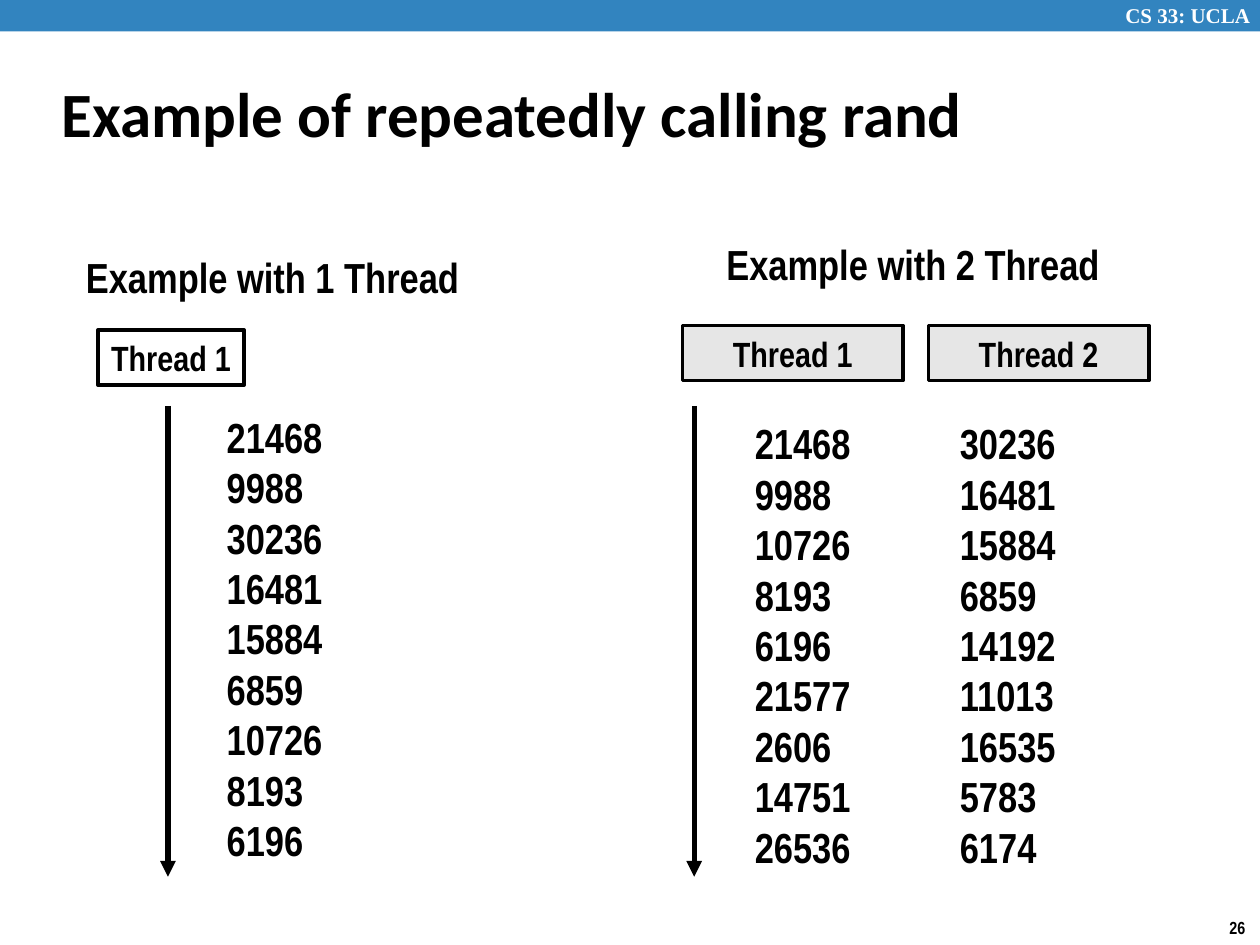
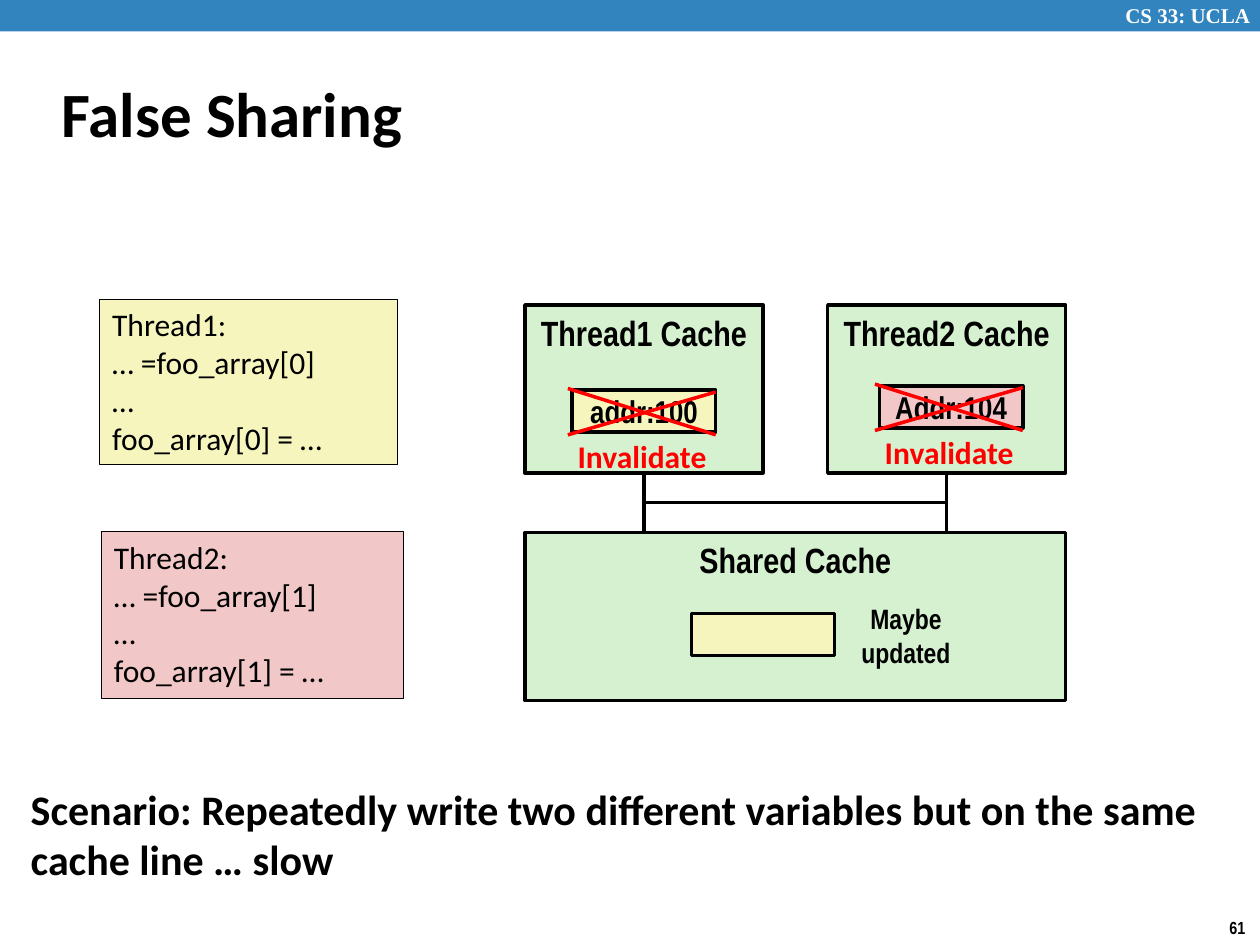
import pptx
import pptx.dml.color
import pptx.enum.shapes
import pptx.enum.text
import pptx.oxml.ns
import pptx.util
from lxml import etree

Pt = pptx.util.Pt
ALIGN = pptx.enum.text.PP_ALIGN
ANCHOR = pptx.enum.text.MSO_ANCHOR

COLORS = {
    "band": "3284BF",
    "white": "FFFFFF",
    "black": "000000",
    "header": "E6E6E6",
    "cache": "D5F1CF",
    "thread1": "F6F5BD",
    "thread2": "F1C7C7",
    "invalid": "FF0000",
}
NARROW = "Arial Narrow"
CALIBRI = "Calibri"
SLIDE_WIDTH, SLIDE_HEIGHT = 720, 540
BOTTOM_CENTER = 2


def rgb(name):
    return pptx.dml.color.RGBColor.from_string(COLORS[name])


def write(shape, lines, size, font=NARROW, color="black", bold=True,
          align=ALIGN.LEFT, anchor=ANCHOR.TOP, wrap=True):
    """Fill a shape's text frame, one paragraph per line."""
    frame = shape.text_frame
    frame.word_wrap = wrap
    frame.vertical_anchor = anchor
    frame.text = "\n".join(lines)
    for paragraph in frame.paragraphs:
        paragraph.alignment = align
        paragraph.font.name = font
        paragraph.font.size = Pt(size)
        paragraph.font.bold = bold
        paragraph.font.color.rgb = rgb(color)


def add_text(slide, place, lines, size, **style):
    box = slide.shapes.add_textbox(*map(Pt, place))
    write(box, lines, size, **style)
    return box


def add_box(slide, place, fill=None, line_width=2):
    box = slide.shapes.add_shape(
        pptx.enum.shapes.MSO_SHAPE.RECTANGLE, *map(Pt, place))
    box.shadow.inherit = False
    if fill:
        box.fill.solid()
        box.fill.fore_color.rgb = rgb(fill)
    else:
        box.fill.background()
    if line_width:
        box.line.color.rgb = rgb("black")
        box.line.width = Pt(line_width)
    else:
        box.line.fill.background()
    return box


def add_line(slide, start, end, color="black", width=2, arrow=False):
    line = slide.shapes.add_connector(
        pptx.enum.shapes.MSO_CONNECTOR.STRAIGHT, *map(Pt, start + end))
    line.line.color.rgb = rgb(color)
    line.line.width = Pt(width)
    if arrow:
        etree.SubElement(line.line._get_or_add_ln(),
                         pptx.oxml.ns.qn("a:tailEnd"), type="triangle")
    etree.SubElement(line._element.spPr, pptx.oxml.ns.qn("a:effectLst"))
    return line


def add_base_slide(presentation, title, number):
    """Blank slide with the top band, title and page number."""
    slide = presentation.slides.add_slide(presentation.slide_layouts[6])
    add_box(slide, (0, 0, SLIDE_WIDTH, 18), "band", line_width=0)
    add_text(slide, (636, -2, 89, 22), ["CS 33: UCLA"], 12,
             font="Times New Roman", color="white")
    add_text(slide, (695.5, 520.5, 24.5, 19.5), [str(number)], 10, wrap=False)
    add_text(slide, (28, 34, 598, 60), [title], 36, font=CALIBRI,
             anchor=ANCHOR.MIDDLE)
    return slide


def add_thread_header(slide, place, label, fill=None):
    box = add_box(slide, place, fill)
    write(box, [label], 20, align=ALIGN.CENTER, anchor=ANCHOR.MIDDLE, wrap=False)


def add_number_column(slide, left, top, numbers):
    add_text(slide, (left, top, 96, 270), numbers.split(), 24)


def add_cache(slide, place, label):
    box = add_box(slide, place, "cache")
    write(box, [label], 20, align=ALIGN.CENTER)
    return box


def add_code(slide, place, thread, fill):
    index = thread - 1
    box = add_box(slide, place, fill, line_width=0.75)
    write(box, [f"Thread{thread}:", f"… =foo_array[{index}]", "…",
                f"foo_array[{index}] = …"], 18, font=CALIBRI, bold=False)


def add_cache_line(slide, left, top, fill):
    return add_box(slide, (left, top, 82, 24), fill)


def add_invalid_line(slide, left, top, label, fill):
    """Cache line that is crossed out and marked as invalidated."""
    box = add_cache_line(slide, left, top, fill)
    write(box, [label], 18, align=ALIGN.CENTER, anchor=ANCHOR.MIDDLE, wrap=False)
    cross_left, cross_right = left - 2.5, left + 82
    cross_top, cross_bottom = top - 1, top + 25.5
    add_line(slide, (cross_left, cross_top), (cross_right, cross_bottom), "invalid")
    add_line(slide, (cross_left, cross_bottom), (cross_right, cross_top + 2), "invalid")
    add_text(slide, (left - 4, top + 23.4, 88.5, 29), ["Invalidate"], 18,
             font=CALIBRI, color="invalid", wrap=False)


def build_rand_slide(presentation):
    slide = add_base_slide(presentation, "Example of repeatedly calling rand", 26)

    # Headings
    for left, top, count in ((42, 140, 1), (408, 132.5, 2)):
        add_text(slide, (left, top, 230, 36), [f"Example with {count} Thread"],
                 24, wrap=False)

    # Thread headers
    add_thread_header(slide, (56, 188.5, 83.5, 31.5), "Thread 1")
    for index in range(2):
        add_thread_header(slide, (390 + 140.5 * index, 186, 126, 31.5),
                          f"Thread {index + 1}", "header")

    # Time arrows
    for x in (96, 396.7):
        add_line(slide, (x, 232), (x, 501), width=3, arrow=True)

    # Returned numbers
    add_number_column(slide, 122.4, 231.5,
                      "21468 9988 30236 16481 15884 6859 10726 8193 6196")
    add_number_column(slide, 424.2, 235.3,
                      "21468 9988 10726 8193 6196 21577 2606 14751 26536")
    add_number_column(slide, 541.4, 235.3,
                      "30236 16481 15884 6859 14192 11013 16535 5783 6174")


def build_sharing_slide(presentation):
    slide = add_base_slide(presentation, "False Sharing", 61)

    # Shared cache
    cache_left, cache_top, cache_width, cache_height = 300, 174.25, 136, 96
    shared_top = 304.25
    add_cache(slide, (cache_left, shared_top, 309, cache_height), "Shared Cache")

    # Private caches and the bus to the shared cache
    bus_y = (cache_top + cache_height + shared_top) / 2
    centers = []
    for index in range(2):
        left = cache_left + 173 * index
        center = left + cache_width / 2
        cache = add_cache(slide, (left, cache_top, cache_width, cache_height),
                          f"Thread{index + 1} Cache")
        link = add_line(slide, (center, cache_top + cache_height),
                        (center, shared_top))
        link.begin_connect(cache, BOTTOM_CENTER)
        centers.append(center)
    add_line(slide, (centers[0], bus_y), (centers[1], bus_y))

    # Cache lines
    add_invalid_line(slide, 327, 223, "addr:100", "thread1")
    add_invalid_line(slide, 502.5, 220.5, "Addr:104", "thread2")
    add_cache_line(slide, 395, 350.5, "thread1")
    add_text(slide, (477.7, 340.25, 80, 46), ["Maybe updated"], 16,
             align=ALIGN.CENTER)

    # Code of both threads
    add_code(slide, (57, 171, 170, 94.5), 1, "thread1")
    add_code(slide, (58, 303.75, 172.5, 95.5), 2, "thread2")

    # Scenario
    add_text(slide, (10.5, 444, 698, 65.5),
             ["Scenario: Repeatedly write two different variables but on the "
              "same cache line … slow"], 24, font=CALIBRI)


def main():
    presentation = pptx.Presentation()
    presentation.slide_width = Pt(SLIDE_WIDTH)
    presentation.slide_height = Pt(SLIDE_HEIGHT)
    build_rand_slide(presentation)
    build_sharing_slide(presentation)
    presentation.save("out.pptx")


if __name__ == "__main__":
    main()
